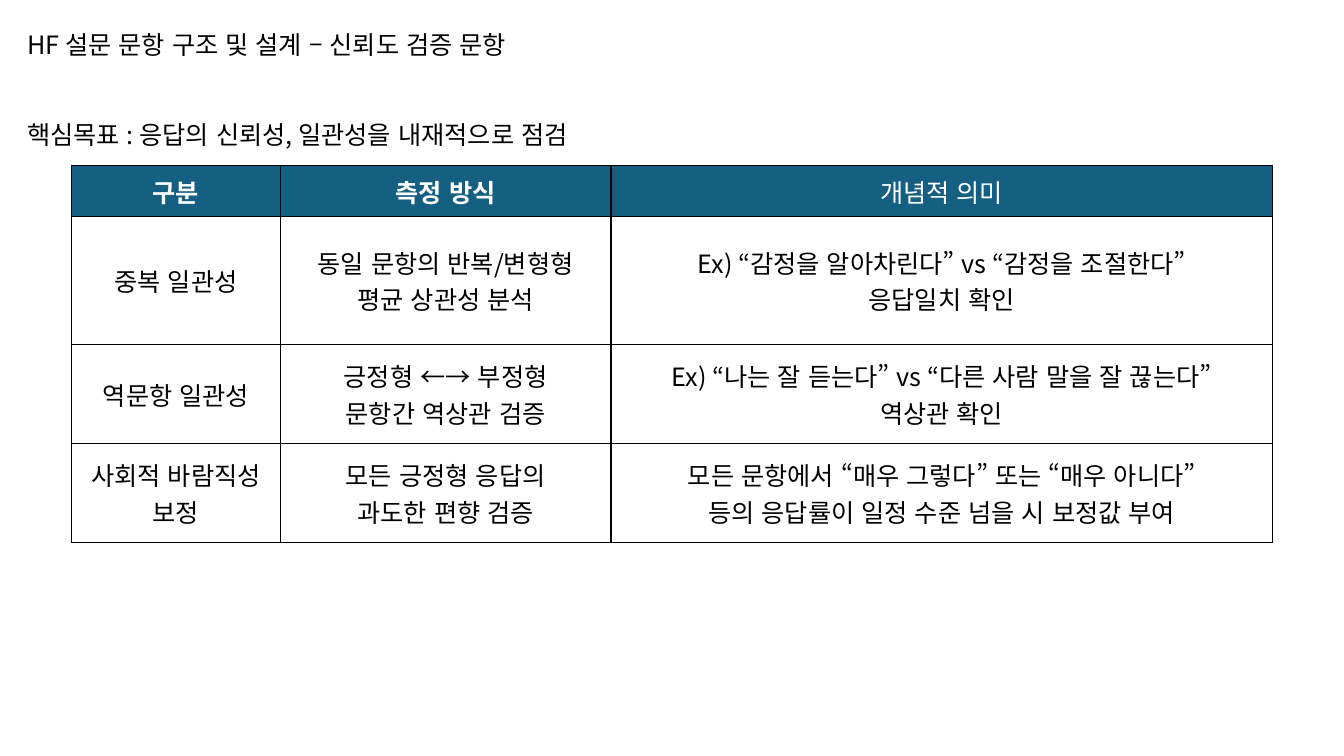
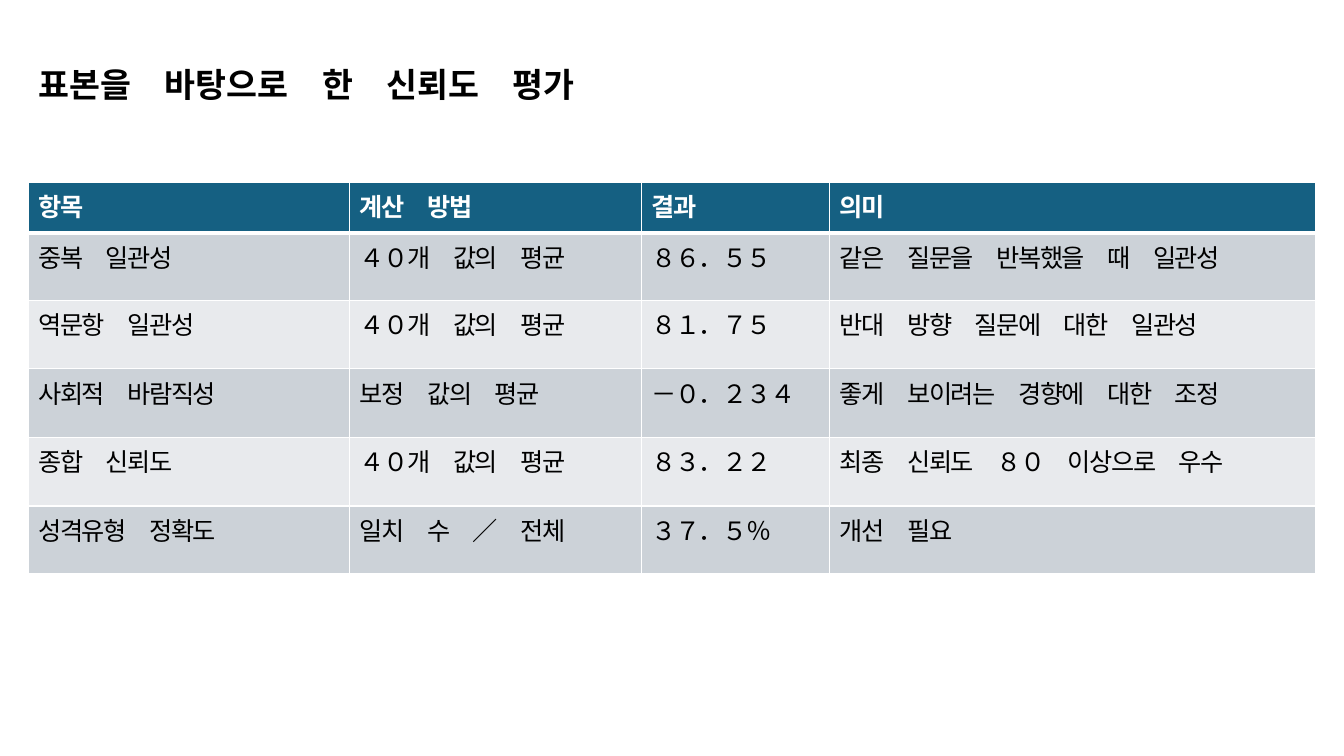
import pptx
import pptx.dml.color
import pptx.enum.lang
import pptx.enum.text
import pptx.oxml
import pptx.oxml.ns
import pptx.util
from lxml import etree

Inches = pptx.util.Inches
Pt = pptx.util.Pt
RGBColor = pptx.dml.color.RGBColor
PP_ALIGN = pptx.enum.text.PP_ALIGN
MSO_ANCHOR = pptx.enum.text.MSO_ANCHOR
KOREAN = pptx.enum.lang.MSO_LANGUAGE_ID.KOREAN
qn = pptx.oxml.ns.qn

FONT = "Noto Sans CJK KR"
BLACK = RGBColor(0x00, 0x00, 0x00)
WHITE = RGBColor(0xFF, 0xFF, 0xFF)
TEAL = RGBColor(0x15, 0x60, 0x82)
BAND_DARK = RGBColor(0xCC, 0xD2, 0xD8)
BAND_LIGHT = RGBColor(0xE8, 0xEA, 0xED)

DESIGN_ROWS = [
    ["구분", "측정 방식", "개념적 의미"],
    ["중복 일관성", "동일 문항의 반복/변형형\n평균 상관성 분석",
     "Ex) “감정을 알아차린다” vs “감정을 조절한다”\n응답일치 확인"],
    ["역문항 일관성", "긍정형 ←→ 부정형\n문항간 역상관 검증",
     "Ex) “나는 잘 듣는다” vs “다른 사람 말을 잘 끊는다”\n역상관 확인"],
    ["사회적 바람직성\n보정", "모든 긍정형 응답의\n과도한 편향 검증",
     "모든 문항에서 “매우 그렇다” 또는 “매우 아니다”\n등의 응답률이 일정 수준 넘을 시 보정값 부여"],
]
RESULT_ROWS = [
    ["항목", "계산　방법", "결과", "의미"],
    ["중복　일관성", "４０개　값의　평균", "８６．５５", "같은　질문을　반복했을　때　일관성"],
    ["역문항　일관성", "４０개　값의　평균", "８１．７５", "반대　방향　질문에　대한　일관성"],
    ["사회적　바람직성", "보정　값의　평균", "－０．２３４", "좋게　보이려는　경향에　대한　조정"],
    ["종합　신뢰도", "４０개　값의　평균", "８３．２２", "최종　신뢰도　８０　이상으로　우수"],
    ["성격유형　정확도", "일치　수　／　전체", "３７．５％", "개선　필요"],
]


def write_text(frame, text, size=18, color=BLACK, bold=False,
               align=PP_ALIGN.LEFT, spacing=0):
    """Write one paragraph per line of text."""
    for index, line in enumerate(text.split("\n")):
        paragraph = frame.paragraphs[0] if index == 0 else frame.add_paragraph()
        paragraph.alignment = align
        run = paragraph.add_run()
        run.text = line
        run.font.size = Pt(size)
        run.font.bold = bold
        run.font.color.rgb = color
        run.font.name = FONT
        run.font.language_id = KOREAN
        properties = run.font._element
        latin = properties.find(qn("a:latin"))
        east_asian = etree.Element(qn("a:ea"), typeface=FONT)
        latin.addnext(east_asian)
        if spacing:
            properties.set("spc", str(spacing * 100))


def place_title(slide, box, text, size=18, bold=False):
    """Move the title placeholder to the box and write the title."""
    title = slide.shapes.title
    title.left, title.top, title.width, title.height = map(Inches, box)
    frame = title.text_frame
    frame.word_wrap = True
    frame.auto_size = pptx.enum.text.MSO_AUTO_SIZE.NONE
    frame.vertical_anchor = MSO_ANCHOR.TOP
    write_text(frame, text, size, bold=bold)


def place_goal(slide, box, text):
    """Write the goal line above the table."""
    goal = slide.shapes.add_textbox(*map(Inches, box))
    goal.text_frame.word_wrap = True
    write_text(goal.text_frame, text)


def set_borders(cell, color, top=1, bottom=1):
    """Draw the four borders of a cell, with widths in points."""
    widths = {"a:lnL": 1, "a:lnR": 1, "a:lnT": top, "a:lnB": bottom}
    properties = cell._tc.get_or_add_tcPr()
    for index, (side, width) in enumerate(widths.items()):
        line = etree.Element(qn(side), w=str(Pt(width)))
        fill = etree.SubElement(line, qn("a:solidFill"))
        etree.SubElement(fill, qn("a:srgbClr"), val=str(color))
        properties.insert(index, line)


def place_table(slide, left, top, widths, heights, rows, border, bands=None,
                header_rule=1, plain_headers=(), align=PP_ALIGN.LEFT,
                anchor=MSO_ANCHOR.TOP, spacing=0):
    """Build a table with a teal header and optional banded rows."""
    table = slide.shapes.add_table(
        len(rows), len(widths), Inches(left), Inches(top),
        Inches(sum(widths)), Inches(sum(heights))).table
    table.first_row = table.horz_banding = False
    for column, width in zip(table.columns, widths):
        column.width = Inches(width)
    for row_index, (height, texts) in enumerate(zip(heights, rows)):
        table.rows[row_index].height = Inches(height)
        header = row_index == 0
        for column_index, text in enumerate(texts):
            cell = table.cell(row_index, column_index)
            cell.vertical_anchor = anchor
            if header or bands:
                cell.fill.solid()
                cell.fill.fore_color.rgb = (
                    TEAL if header else bands[(row_index - 1) % len(bands)])
            else:
                cell.fill.background()
            set_borders(cell, border,
                        top=header_rule if row_index == 1 else 1,
                        bottom=header_rule if header else 1)
            write_text(cell.text_frame, text,
                       color=WHITE if header else BLACK,
                       bold=header and column_index not in plain_headers,
                       align=align, spacing=spacing)


def add_design_slide(deck):
    """Add the slide on the design of the reliability questions."""
    slide = deck.slides.add_slide(deck.slide_layouts[5])
    place_title(slide, (0.17, 0.24, 9.65, 0.46),
                "HF 설문 문항 구조 및 설계 – 신뢰도 검증 문항")
    place_goal(slide, (0.17, 1.13, 9.65, 0.46),
               "핵심목표 : 응답의 신뢰성, 일관성을 내재적으로 점검")
    place_table(slide, 0.71, 1.64, [2.07, 3.28, 6.56],
                [0.51, 1.27, 0.98, 0.98], DESIGN_ROWS, BLACK,
                plain_headers=(2,), align=PP_ALIGN.CENTER,
                anchor=MSO_ANCHOR.MIDDLE)


def add_result_slide(deck):
    """Add the slide on the reliability results of the sample."""
    slide = deck.slides.add_slide(deck.slide_layouts[5])
    place_title(slide, (0.28, 0.58, 5.92, 0.5),
                "표본을　바탕으로　한　신뢰도　평가", 24, True)
    place_table(slide, 0.28, 1.81, [3.19, 2.89, 1.87, 4.82],
                [0.5, 0.67, 0.68, 0.68, 0.68, 0.67], RESULT_ROWS, WHITE,
                bands=(BAND_DARK, BAND_LIGHT), header_rule=3, spacing=-1)


def main():
    """Build and save the deck."""
    deck = pptx.Presentation()
    deck.slide_width = Inches(13.33)
    deck.slide_height = Inches(7.5)
    add_design_slide(deck)
    add_result_slide(deck)
    deck.save("out.pptx")


if __name__ == "__main__":
    main()
